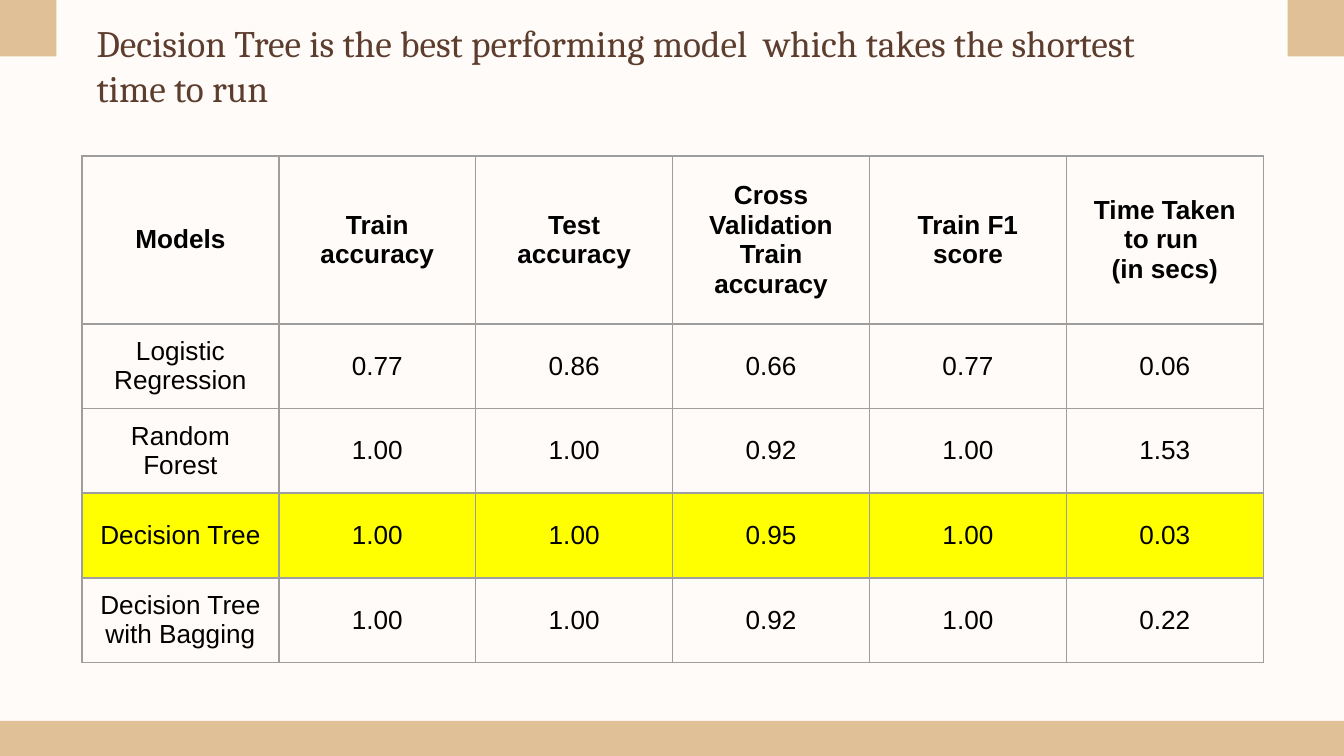
"""Build a slide comparing the accuracy and run time of four models."""
from lxml import etree
from pptx import Presentation
from pptx.dml.color import RGBColor
from pptx.enum import shapes, text
from pptx.oxml import ns
from pptx.util import Inches, Pt

TITLE = "Decision Tree is the best performing model  which takes the shortest time to run"
HEADERS = ["Models", "Train accuracy", "Test accuracy", "Cross Validation Train accuracy",
           "Train F1 score", "Time Taken to run \n(in secs)"]
RESULTS = [
    ["Logistic Regression", "0.77", "0.86", "0.66", "0.77", "0.06"],
    ["Random Forest", "1.00", "1.00", "0.92", "1.00", "1.53"],
    ["Decision Tree", "1.00", "1.00", "0.95", "1.00", "0.03"],
    ["Decision Tree with Bagging", "1.00", "1.00", "0.92", "1.00", "0.22"],
]
BEST_MODEL = "Decision Tree"

CREAM = RGBColor(0xFF, 0xFB, 0xF8)
TAN = RGBColor(0xE0, 0xC0, 0x97)
BROWN = RGBColor(0x5C, 0x3D, 0x2E)
BLACK = RGBColor(0, 0, 0)
YELLOW = RGBColor(0xFF, 0xFF, 0)
GRID_GRAY = RGBColor(0x9E, 0x9E, 0x9E)

WIDTH = 10
HEIGHT = WIDTH * 9 / 16
CORNER, FOOTER = 0.42, 0.26
DECORATIONS = [
    (0, HEIGHT - FOOTER, WIDTH, FOOTER),
    (0, 0, CORNER, CORNER),
    (WIDTH - CORNER, 0, CORNER, CORNER),
]
TABLE_LEFT, TABLE_TOP, TABLE_WIDTH = 0.61, 1.16, 8.79
HEADER_HEIGHT, RESULT_HEIGHT = 1.25, 0.63


def write(frame, words, *, font="Arial", size=14, color=BLACK, bold=False,
          align=text.PP_ALIGN.CENTER):
    frame.word_wrap = True
    frame.text = words
    for paragraph in frame.paragraphs:
        paragraph.alignment = align
        for run in paragraph.runs:
            run.font.name, run.font.size, run.font.bold = font, Pt(size), bold
            run.font.color.rgb = color


def draw_borders(cell):
    properties = cell._tc.get_or_add_tcPr()
    for side in ("lnL", "lnR", "lnT", "lnB"):
        line = etree.SubElement(properties, ns.qn(f"a:{side}"), w=str(Pt(0.89)))
        fill = etree.SubElement(line, ns.qn("a:solidFill"))
        etree.SubElement(fill, ns.qn("a:srgbClr"), val=str(GRID_GRAY))


def set_margins(holder, vertical):
    holder.margin_left = holder.margin_right = Inches(0.1)
    holder.margin_top = holder.margin_bottom = Inches(vertical)
    holder.vertical_anchor = text.MSO_ANCHOR.MIDDLE


def add_decorations(slide):
    for box in DECORATIONS:
        block = slide.shapes.add_shape(shapes.MSO_SHAPE.RECTANGLE, *map(Inches, box))
        block.shadow.inherit = False
        block.fill.solid()
        block.fill.fore_color.rgb = TAN
        block.line.fill.background()


def add_title(slide):
    frame = slide.shapes.add_textbox(*map(Inches, (0.62, 0.17, 8.43, 0.63))).text_frame
    set_margins(frame, 0.1)
    write(frame, TITLE, font="Cambria", size=20, color=BROWN, align=text.PP_ALIGN.LEFT)


def add_results(slide):
    rows = [HEADERS] + RESULTS
    heights = [HEADER_HEIGHT] + [RESULT_HEIGHT] * len(RESULTS)
    box = (TABLE_LEFT, TABLE_TOP, TABLE_WIDTH, sum(heights))
    table = slide.shapes.add_table(len(rows), len(HEADERS), *map(Inches, box)).table
    table.horz_banding = False
    for column in table.columns:
        column.width = Inches(TABLE_WIDTH / len(HEADERS))
    for r, (row, height) in enumerate(zip(rows, heights)):
        table.rows[r].height = Inches(height)
        for c, words in enumerate(row):
            cell = table.cell(r, c)
            set_margins(cell, 0.05)
            draw_borders(cell)
            cell.fill.solid()
            cell.fill.fore_color.rgb = YELLOW if row[0] == BEST_MODEL else CREAM
            write(cell.text_frame, words, bold=row is HEADERS)


def main():
    deck = Presentation()
    deck.slide_width, deck.slide_height = Inches(WIDTH), Inches(HEIGHT)
    slide = deck.slides.add_slide(deck.slide_layouts[6])
    slide.background.fill.solid()
    slide.background.fill.fore_color.rgb = CREAM
    add_decorations(slide)
    add_title(slide)
    add_results(slide)
    deck.save("out.pptx")


if __name__ == "__main__":
    main()
